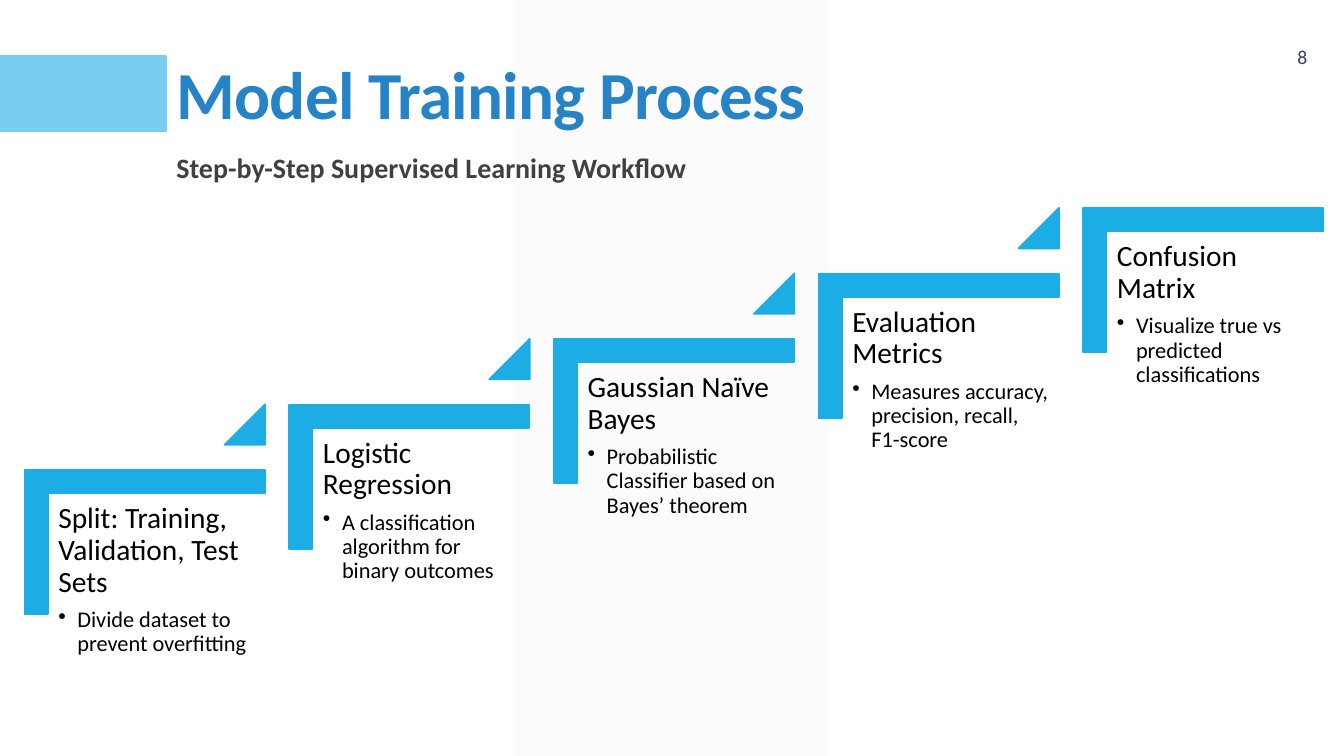
"""Build the slide on the model training process as a rising staircase."""
from lxml import etree
from pptx import Presentation
from pptx.dml.color import RGBColor
from pptx.enum.shapes import MSO_SHAPE
from pptx.enum.text import MSO_ANCHOR, MSO_AUTO_SIZE, PP_ALIGN
from pptx.oxml.ns import qn
from pptx.util import Cm, Pt

RECT = MSO_SHAPE.RECTANGLE
SLANT = MSO_SHAPE.PARALLELOGRAM
CORNER = MSO_SHAPE.CORNER
WEDGE = MSO_SHAPE.ISOSCELES_TRIANGLE
TOP, MIDDLE = MSO_ANCHOR.TOP, MSO_ANCHOR.MIDDLE
LEFT, RIGHT = PP_ALIGN.LEFT, PP_ALIGN.RIGHT
FIXED = MSO_AUTO_SIZE.NONE

BLACK = RGBColor(0x00, 0x00, 0x00)
NAVY = RGBColor(0x34, 0x40, 0x68)
BLUE = RGBColor(0x26, 0x83, 0xC6)
GREY = RGBColor(0x40, 0x40, 0x40)
PALE = RGBColor(0xF2, 0xF2, 0xF2)
SKY = RGBColor(0x77, 0xCE, 0xEF)
CYAN = RGBColor(0x1C, 0xAD, 0xE4)

FONT = "Calibri"
RUN, RISE = 6.67, 1.65
STEPS = [
    ("Split: Training, Validation, Test Sets",
     "Divide dataset to prevent overfitting"),
    ("Logistic Regression",
     "A classification algorithm for binary outcomes"),
    ("Gaussian Naïve Bayes",
     "Probabilistic Classifier based on Bayes’ theorem"),
    ("Evaluation Metrics",
     "Measures accuracy, precision, recall, F1-score"),
    ("Confusion Matrix",
     "Visualize true vs predicted classifications"),
]


def write(frame, text, size, color, bold=False, align=LEFT, lead=None,
          before=0, after=0, track=0, mark=None, hang=0):
    """Add one formatted paragraph to a text frame."""
    para = frame.paragraphs[0] if not frame.text else frame.add_paragraph()
    para.alignment = align
    para.line_spacing = lead
    para.space_before, para.space_after = Pt(before), Pt(after)
    props = para._p.get_or_add_pPr()
    props.set("marL", str(Cm(hang)))
    props.set("indent", str(-Cm(hang)))
    if mark:
        etree.SubElement(props, qn("a:buChar")).set("char", mark)
    else:
        etree.SubElement(props, qn("a:buNone"))
    run = para.add_run()
    run.text = text
    font = run.font
    font.name, font.size, font.bold = FONT, Pt(size), bold
    font.color.rgb = color
    if track:
        run._r.get_or_add_rPr().set("spc", str(track))


def place(box, left, top, width, height, anchor=TOP):
    """Set a text box in its place and return its frame."""
    box.left, box.top = Cm(left), Cm(top)
    box.width, box.height = Cm(width), Cm(height)
    frame = box.text_frame
    frame.word_wrap = True
    frame.auto_size = FIXED
    frame.vertical_anchor = anchor
    return frame


def label(slide, *area, anchor=TOP):
    """Add a text box and return its frame."""
    box = slide.shapes.add_textbox(0, 0, 0, 0)
    return place(box, *area, anchor=anchor)


def block(slide, kind, left, top, width, height, color, line=True, adjust=()):
    """Add a filled preset shape."""
    shape = slide.shapes.add_shape(
        kind, Cm(left), Cm(top), Cm(width), Cm(height))
    shape.shadow.inherit = False
    shape.fill.solid()
    shape.fill.fore_color.rgb = color
    if line:
        shape.line.color.rgb = color
        shape.line.width = Pt(1.25)
    else:
        shape.line.fill.background()
    for index, value in enumerate(adjust):
        shape.adjustments[index] = value
    return shape


def band(slide):
    """Add the faint upright band behind everything else."""
    shape = block(slide, SLANT, 12.95, 0, 7.92, 19.05, PALE,
                  line=False, adjust=[0])
    tint = shape.element.find(".//" + qn("a:srgbClr"))
    etree.SubElement(tint, qn("a:alpha")).set("val", "30000")
    shape.element.getparent().insert(2, shape.element)


def stair(slide, index, head, note):
    """Add one step of the staircase."""
    left, drop = index * RUN, -index * RISE
    angle = block(slide, CORNER, left + 1.83, drop + 10.64, 3.63, 6.05, CYAN,
                  adjust=[0.161, 0.161])
    angle.rotation = 90
    frame = label(slide, left + 1.24, drop + 12.45, 5.44, 4.78)
    frame.margin_left = frame.margin_right = Cm(0.23)
    frame.margin_top = frame.margin_bottom = Cm(0.23)
    write(frame, head, 21, BLACK, lead=0.9, after=7)
    write(frame, note, 16, BLACK, lead=0.9, after=2, mark="•", hang=0.48)
    if index < len(STEPS) - 1:
        block(slide, WEDGE, left + 5.66, drop + 10.19, 1.02, 1.02, CYAN,
              adjust=[1])


def main():
    """Build and save the slide."""
    deck = Presentation()
    deck.slide_width, deck.slide_height = Cm(33.87), Cm(19.05)
    slide = deck.slides.add_slide(deck.slide_layouts[1])
    band(slide)
    frame = label(slide, 31.04, 0.91, 2.16, 1.02, anchor=MIDDLE)
    write(frame, "8", 14, NAVY, align=RIGHT)
    block(slide, RECT, 0, 1.42, 4.19, 1.88, SKY)
    frame = place(slide.shapes.title, 4.19, 1.42, 27.94, 2.21)
    write(frame, "Model Training Process", 48, BLUE, bold=True, lead=0.9,
          track=-50)
    frame = place(slide.placeholders[1], 4.19, 3.66, 27.94, 1.24)
    write(frame, "Step-by-Step Supervised Learning Workflow", 20, GREY,
          bold=True, before=12, after=2)
    for index, (head, note) in enumerate(STEPS):
        stair(slide, index, head, note)
    deck.save("out.pptx")


if __name__ == "__main__":
    main()
